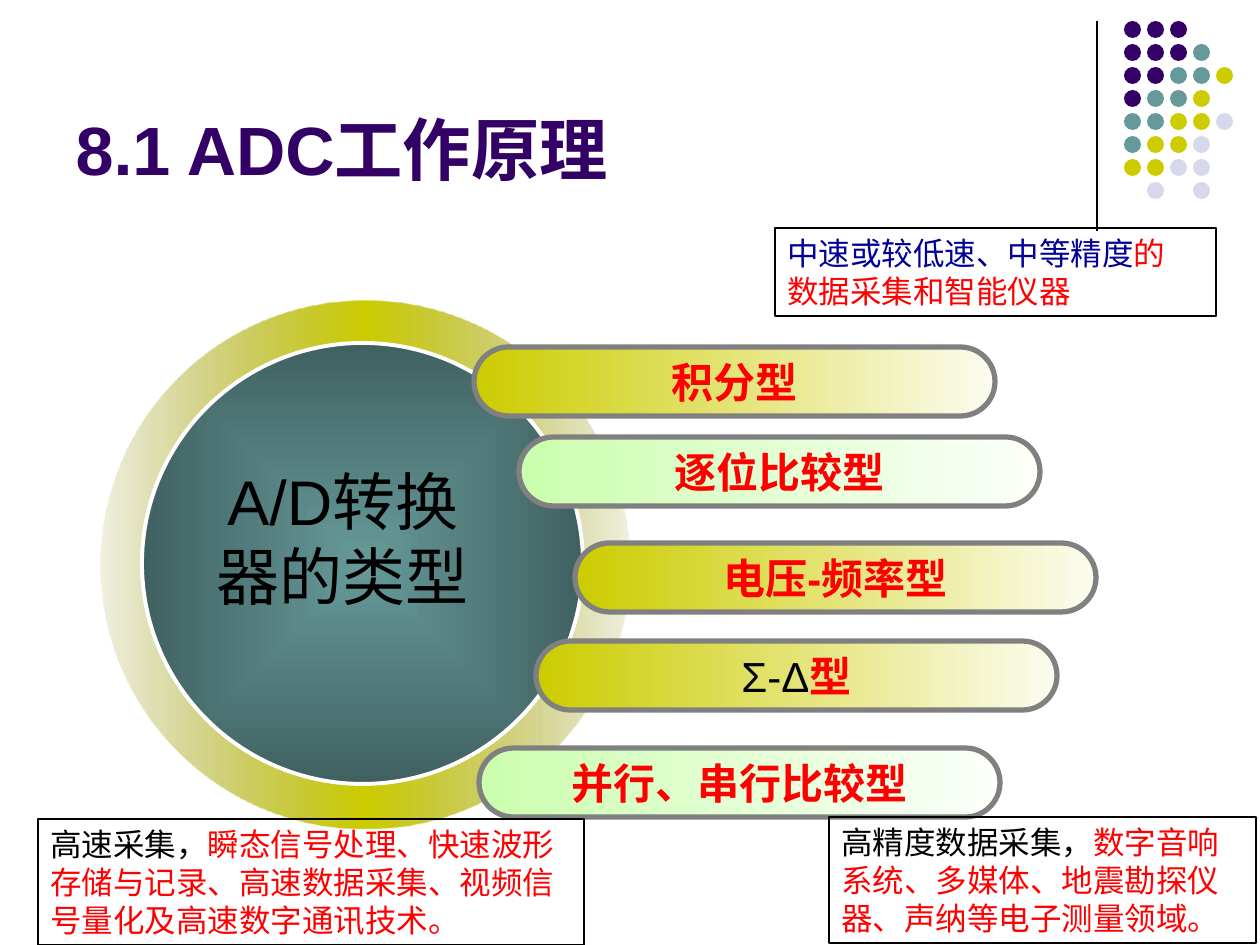
from lxml import etree
from pptx import Presentation
from pptx.dml.color import RGBColor
from pptx.enum.shapes import MSO_CONNECTOR, MSO_SHAPE
from pptx.enum.text import MSO_ANCHOR, MSO_AUTO_SIZE, PP_ALIGN
from pptx.oxml.ns import qn
from pptx.util import Emu, Pt

DOT, RING, BAR, RECT = (MSO_SHAPE.OVAL, MSO_SHAPE.DONUT,
                        MSO_SHAPE.ROUNDED_RECTANGLE, MSO_SHAPE.RECTANGLE)
LINE = MSO_CONNECTOR.STRAIGHT
TOP, MID, LOW = MSO_ANCHOR.TOP, MSO_ANCHOR.MIDDLE, MSO_ANCHOR.BOTTOM
LEFT, MIDST = PP_ALIGN.LEFT, PP_ALIGN.CENTER
GROW, FIXED = MSO_AUTO_SIZE.SHAPE_TO_FIT_TEXT, MSO_AUTO_SIZE.NONE

RED, BLACK, NAVY, PLUM = "FF0000", "000000", "000099", "330066"
GOLD = [(0, "CCCC00", 100), (100, "FCFCF0", 100)]
MINT = [(0, "CBFEAE", 100), (100, "FCFFFA", 100)]
HALO = [(0, "888800", 12), (50, "CCCC00", 100), (100, "888800", 12)]
TEAL = [(0, "669999", 100), (100, "416161", 100)]

INKS = {"P": PLUM, "T": "669999", "Y": "CCCC00", "L": "D8D8EC"}
DOTS = ["PPP", "PPPT", "PPTTY", "PTTY", "TTYYL", "TYYL", "YYLL", " L L"]

HEAD = {"size": Pt(39), "bold": True}
HUB = {"size": Pt(36), "bold": False}
BOLD = {"size": Pt(24), "bold": True}
PLAIN = {"size": Pt(24), "bold": False}
NOTE = {"size": Pt(18), "bold": False}

BARS = [
    (474, 347, GOLD, [("积分型", RED, BOLD)]),
    (519, 437, MINT, [("逐位比较型", RED, BOLD)]),
    (575, 543, GOLD, [("电压-频率型", RED, BOLD)]),
    (536, 641, GOLD, [("Σ-Δ", BLACK, PLAIN), ("型", RED, BOLD)]),
    (479, 748, MINT, [("并行、串行比较型", RED, BOLD)]),
]
NOTES = [
    ((775, 228, 441, 88),
     [[("中速或较低速、中等精度", NAVY, NOTE), ("的", RED, NOTE)],
      [("数据采集和智能仪器", RED, NOTE)]]),
    ((38, 819, 546, 126),
     [[("高速采集，", BLACK, NOTE),
       ("瞬态信号处理、快速波形存储与记录、高速数据采集、视频信号量化及高速数字通讯技术。",
        RED, NOTE)]]),
    ((829, 817, 427, 126),
     [[("高精度数据采集，", BLACK, NOTE),
       ("数字音响系统、多媒体、地震勘探仪器、声纳等电子测量领域。", RED, NOTE)]]),
]


def px(n):
    """Turn px into EMU."""
    return Emu(round(n * 914400 / 126))


def tint(form, ink):
    """Set a colour from a hex string."""
    form.rgb = RGBColor.from_string(ink)


def shade(shape, stops, rect=False):
    """Fill a shape with a linear or a rectangular gradient."""
    shape.fill.gradient()
    grad = shape._element.spPr.find(qn("a:gradFill"))
    for kid in list(grad):
        grad.remove(kid)
    row = etree.SubElement(grad, qn("a:gsLst"))
    for pos, ink, alpha in stops:
        stop = etree.SubElement(row, qn("a:gs"), pos=str(pos * 1000))
        tone = etree.SubElement(stop, qn("a:srgbClr"), val=ink)
        if alpha < 100:
            etree.SubElement(tone, qn("a:alpha"), val=str(alpha * 1000))
    if rect:
        way = etree.SubElement(grad, qn("a:path"), path="rect")
        sides = dict.fromkeys("ltrb", "50000")
        etree.SubElement(way, qn("a:fillToRect"), **sides)
    else:
        etree.SubElement(grad, qn("a:lin"), ang="0", scaled="1")


def draw(slide, kind, box, line=None, width=1):
    """Add a preset shape with no fill and an optional line."""
    shape = slide.shapes.add_shape(kind, *map(px, box))
    shape.shadow.inherit = False
    shape.fill.background()
    if line:
        tint(shape.line.color, line)
        shape.line.width = Pt(width)
    else:
        shape.line.fill.background()
    return shape


def write(shape, paras, align=LEFT, **frame):
    """Write paragraphs of (text, colour, format) runs into a shape."""
    body = shape.text_frame
    for name, value in frame.items():
        setattr(body, name, value)
    for i, runs in enumerate(paras):
        para = body.add_paragraph() if i else body.paragraphs[0]
        para.alignment = align
        for text, ink, form in runs:
            run = para.add_run()
            run.text = text
            tint(run.font.color, ink)
            for name, value in {"name": "Arial", **form}.items():
                setattr(run.font, name, value)


def add_dots(slide):
    """Add the corner rule and its grid of dots."""
    rule = slide.shapes.add_connector(LINE, px(1097), px(21), px(1097), px(231))
    tint(rule.line.color, BLACK)
    rule.line.width = Pt(0.75)
    etree.SubElement(rule._element.spPr, qn("a:effectLst"))
    for r, row in enumerate(DOTS):
        for c, key in enumerate(row):
            if key in INKS:
                dot = draw(slide, DOT, (1124 + 23 * c, 21 + 23 * r, 17, 17))
                dot.fill.solid()
                tint(dot.fill.fore_color, INKS[key])


def add_title(slide):
    """Place and write the title."""
    title = slide.shapes.title
    spots = map(px, (63, 16, 1040, 179))
    for name, value in zip(("left", "top", "width", "height"), spots):
        setattr(title, name, value)
    write(title, [[("8.1 ADC工作原理", PLUM, HEAD)]], vertical_anchor=LOW,
          word_wrap=True, auto_size=FIXED)


def add_hub(slide):
    """Add the ring and the disc."""
    ring = draw(slide, RING, (101, 301, 528, 528))
    ring.adjustments[0] = 0.09
    shade(ring, HALO)
    disc = draw(slide, DOT, (142, 343, 441, 441), "FFFFFF", 2.25)
    shade(disc, TEAL, rect=True)


def add_label(slide):
    """Add the text of the disc."""
    label = slide.shapes.add_textbox(*map(px, (193, 456, 300, 164)))
    write(label, [[("A/D转换器的类型", BLACK, HUB)]], MIDST,
          word_wrap=True, auto_size=GROW)


def add_bar(slide, left, top, stops, runs):
    """Add one converter type."""
    bar = draw(slide, BAR, (left, top, 521, 69), "808080", 3)
    bar.adjustments[0] = 0.5
    shade(bar, stops)
    write(bar, [runs], MIDST, vertical_anchor=MID, word_wrap=False)


def add_note(slide, box, paras):
    """Add one framed note."""
    note = draw(slide, RECT, box, BLACK, 0.75)
    write(note, paras, vertical_anchor=TOP, word_wrap=True, auto_size=GROW)


def main():
    """Build the slide and save it."""
    deck = Presentation()
    deck.slide_width, deck.slide_height = px(1260), px(945)
    slide = deck.slides.add_slide(deck.slide_layouts[5])
    add_dots(slide)
    add_title(slide)
    add_hub(slide)
    for bar in BARS:
        add_bar(slide, *bar)
    add_label(slide)
    for note in NOTES:
        add_note(slide, *note)
    deck.save("out.pptx")


if __name__ == "__main__":
    main()
